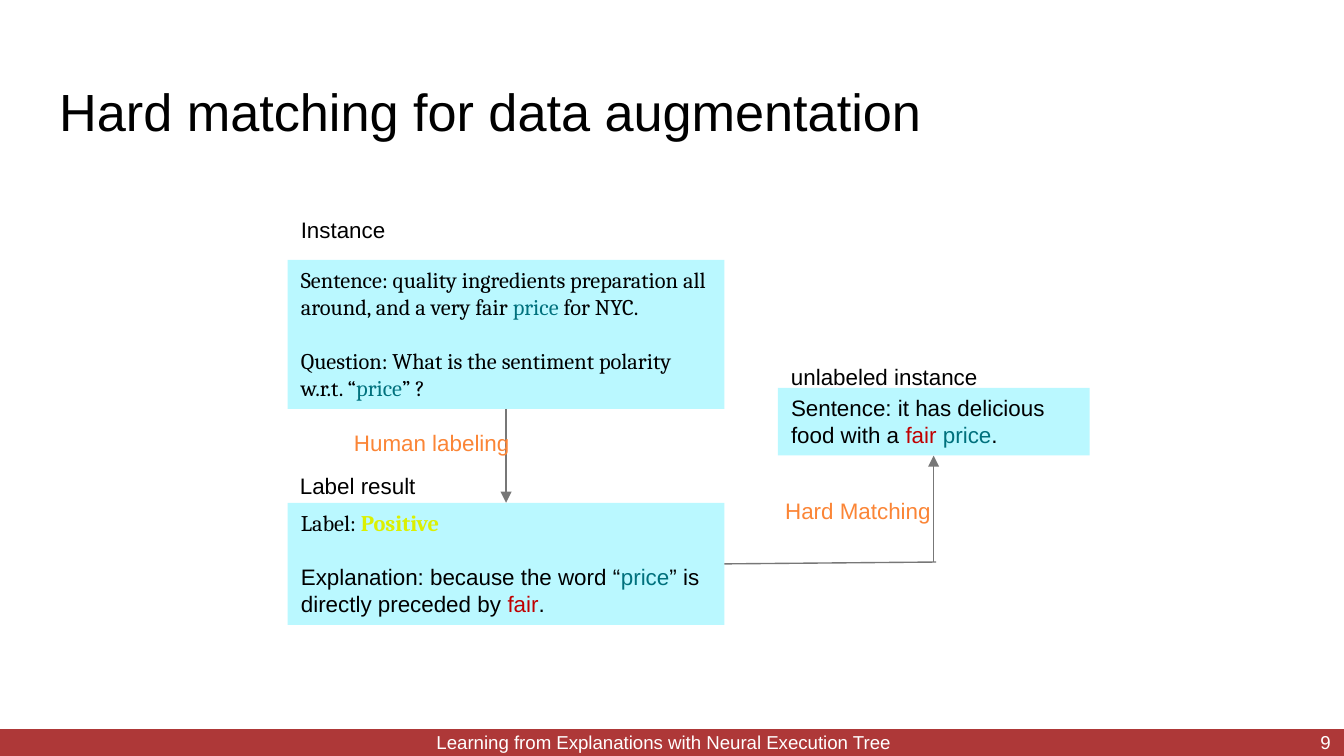
from lxml.etree import SubElement
from pptx import Presentation
from pptx.dml.color import RGBColor
from pptx.enum.shapes import MSO_CONNECTOR, MSO_SHAPE
from pptx.enum.text import MSO_ANCHOR, MSO_AUTO_SIZE, PP_ALIGN
from pptx.oxml.ns import qn
from pptx.util import Inches, Pt

WIDTH = 10
HEIGHT = WIDTH * 9 / 16
CELL = 0.1
COLUMNS, ROWS = WIDTH / CELL, HEIGHT / CELL
BLACK, WHITE, GRAY = "000000", "FFFFFF", "777777"
CYAN, TEAL, RED = "BAF8FF", "00717D", "C00000"
YELLOW, ORANGE, BRICK = "DBF000", "FB8536", "980000"
LABELING_COLUMN, LABELING_WIDTH = 21.4, 32.5
UNLABELED_COLUMN, UNLABELED_WIDTH = 57.87, 23.2
LABELING_CENTER = LABELING_COLUMN + LABELING_WIDTH / 2
UNLABELED_CENTER = UNLABELED_COLUMN + UNLABELED_WIDTH / 2
INSTANCE_TOP, INSTANCE_BOTTOM = 19.34, 30.43
RESULT_TOP, RESULT_HEIGHT = 37.41, 9.1
UNLABELED_TOP, UNLABELED_BOTTOM = 28.86, 33.9
MATCHING_ROW = 41.82
BAR_HEIGHT = 2


def cells(*counts):
    """Turn counts of grid cells into lengths."""
    return [Inches(count * CELL) for count in counts]


def color(value):
    """Turn a hex string into a colour."""
    return RGBColor.from_string(value)


def write_paragraph(paragraph, runs, font="Arial", size=12, fill=BLACK, align=PP_ALIGN.LEFT):
    """Write runs given as plain strings or (text, colour, bold) tuples."""
    paragraph.alignment = align
    for item in runs:
        text, run_color, bold = (item, fill, False) if isinstance(item, str) else item
        run = paragraph.add_run()
        run.text = text
        run.font.name = font
        run.font.size = Pt(size)
        run.font.bold = bold
        run.font.color.rgb = color(run_color)


def format_frame(frame, inset=(0.1, 0.05), anchor=MSO_ANCHOR.TOP, wrap=True, grow=False):
    """Set the insets, anchor, wrapping and growth of a text frame."""
    frame.margin_left = frame.margin_right = Inches(inset[0])
    frame.margin_top = frame.margin_bottom = Inches(inset[1])
    frame.vertical_anchor = anchor
    frame.word_wrap = wrap
    frame.auto_size = MSO_AUTO_SIZE.SHAPE_TO_FIT_TEXT if grow else MSO_AUTO_SIZE.NONE


def add_label(slide, text, place, **style):
    """Add a one-line caption."""
    frame = slide.shapes.add_textbox(*cells(*place)).text_frame
    inset = (0.07, 0.04) if style.get("align") == PP_ALIGN.CENTER else (0.1, 0.05)
    format_frame(frame, inset, wrap=False, grow=True)
    write_paragraph(frame.paragraphs[0], [text], **style)


def add_block(slide, place, fill):
    """Add a plain rectangle."""
    shape = slide.shapes.add_shape(MSO_SHAPE.RECTANGLE, *cells(*place))
    shape.shadow.inherit = False
    shape.fill.solid()
    shape.fill.fore_color.rgb = color(fill)
    shape.line.fill.background()
    return shape


def add_card(slide, place, *paragraphs):
    """Add a cyan box holding (font, runs) paragraphs one line apart."""
    frame = add_block(slide, place, CYAN).text_frame
    format_frame(frame, grow=True)
    for index, (font, runs) in enumerate(paragraphs):
        paragraph = frame.add_paragraph() if index else frame.paragraphs[0]
        paragraph.space_before = Pt(14.4 if index else 0)
        write_paragraph(paragraph, runs, font=font)


def add_line(slide, start, end, arrow=False):
    """Add a thin gray line, with an arrowhead at its end if asked."""
    connector = slide.shapes.add_connector(MSO_CONNECTOR.STRAIGHT, *cells(*start, *end))
    connector.line.color.rgb = color(GRAY)
    connector.line.width = Pt(0.75)
    properties = connector.element.spPr
    if arrow:
        SubElement(properties.find(qn("a:ln")), qn("a:tailEnd"), type="triangle")
    SubElement(properties, qn("a:effectLst"))


def add_title(slide, text):
    """Place and format the title placeholder."""
    title = slide.shapes.title
    title.left, title.top, title.width, title.height = cells(3.4, 4.9, 93.2, 6.3)
    format_frame(title.text_frame, (0.1, 0.1))
    write_paragraph(title.text_frame.paragraphs[0], [text], size=28)


def add_footer(slide, text, number):
    """Add the translucent bar with the talk's name and the page number."""
    bar = add_block(slide, (0, ROWS - BAR_HEIGHT, COLUMNS, BAR_HEIGHT), BRICK)
    fill = bar.element.spPr.find(qn("a:solidFill"))
    SubElement(fill[0], qn("a:alpha"), val="78000")
    for words, left, width, align in (
        (number, 94, 6, PP_ALIGN.RIGHT),
        (text, 3.4, 91.9, PP_ALIGN.CENTER),
    ):
        frame = slide.shapes.add_textbox(*cells(left, 53.1, width, 4.3)).text_frame
        format_frame(frame, (0.1, 0.1), MSO_ANCHOR.MIDDLE)
        write_paragraph(frame.paragraphs[0], [words], size=10, fill=WHITE, align=align)


def add_labeling(slide):
    """Add the instance and its human label."""
    price = ("price", TEAL, False)
    add_card(
        slide,
        (LABELING_COLUMN, INSTANCE_TOP, LABELING_WIDTH, INSTANCE_BOTTOM - INSTANCE_TOP),
        ("Cambria", ["Sentence: quality ingredients preparation all around, and a very fair ",
                     price, " for NYC."]),
        ("Cambria", ["Question: What is the sentiment polarity w.r.t. “", price, "” ?"]),
    )
    add_label(slide, "Instance", (LABELING_COLUMN, 15.6, 8.4, 3))
    add_line(slide, (LABELING_CENTER, INSTANCE_BOTTOM), (LABELING_CENTER, RESULT_TOP), arrow=True)
    add_label(slide, "Human labeling", (25.58, 31.56, 13.1, 2.8),
              fill=ORANGE, align=PP_ALIGN.CENTER)
    add_card(
        slide,
        (LABELING_COLUMN, RESULT_TOP, LABELING_WIDTH, RESULT_HEIGHT),
        ("Cambria", ["Label: ", ("Positive", YELLOW, True)]),
        ("Arial", ["Explanation: because the word “", price, "” is directly preceded by ",
                   ("fair", RED, False), "."]),
    )
    add_label(slide, "Label result", (21.33, 34.64, 10.7, 3))


def add_matching(slide):
    """Add the unlabeled instance and the path that leads to it."""
    add_line(slide, (UNLABELED_CENTER, MATCHING_ROW), (UNLABELED_CENTER, UNLABELED_BOTTOM),
             arrow=True)
    add_label(slide, "unlabeled instance", (UNLABELED_COLUMN, 26.54, 16, 3))
    add_card(
        slide,
        (UNLABELED_COLUMN, UNLABELED_TOP, UNLABELED_WIDTH, UNLABELED_BOTTOM - UNLABELED_TOP),
        ("Arial", ["Sentence: it has delicious food with a ", ("fair ", RED, False),
                   ("price", TEAL, False), "."]),
    )
    add_label(slide, "Hard Matching", (57.64, 36.6, 12.4, 2.8),
              fill=ORANGE, align=PP_ALIGN.CENTER)
    add_line(slide, (LABELING_COLUMN + LABELING_WIDTH, RESULT_TOP + RESULT_HEIGHT / 2),
             (69.66, MATCHING_ROW))


def main():
    """Build and save the slide."""
    presentation = Presentation()
    presentation.slide_width, presentation.slide_height = Inches(WIDTH), Inches(HEIGHT)
    slide = presentation.slides.add_slide(presentation.slide_layouts[5])
    add_footer(slide, "Learning from Explanations with Neural Execution Tree", "9")
    add_title(slide, "Hard matching for data augmentation")
    add_labeling(slide)
    add_matching(slide)
    presentation.save("out.pptx")


if __name__ == "__main__":
    main()
